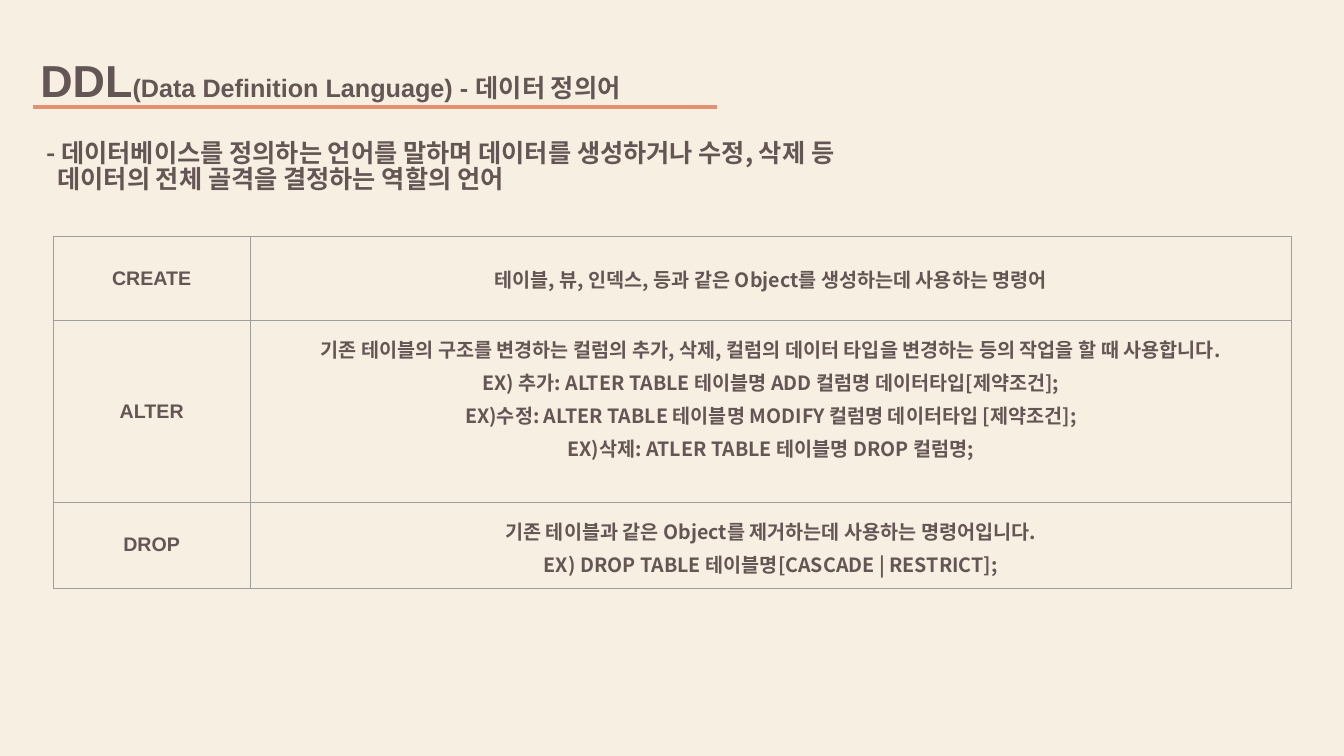
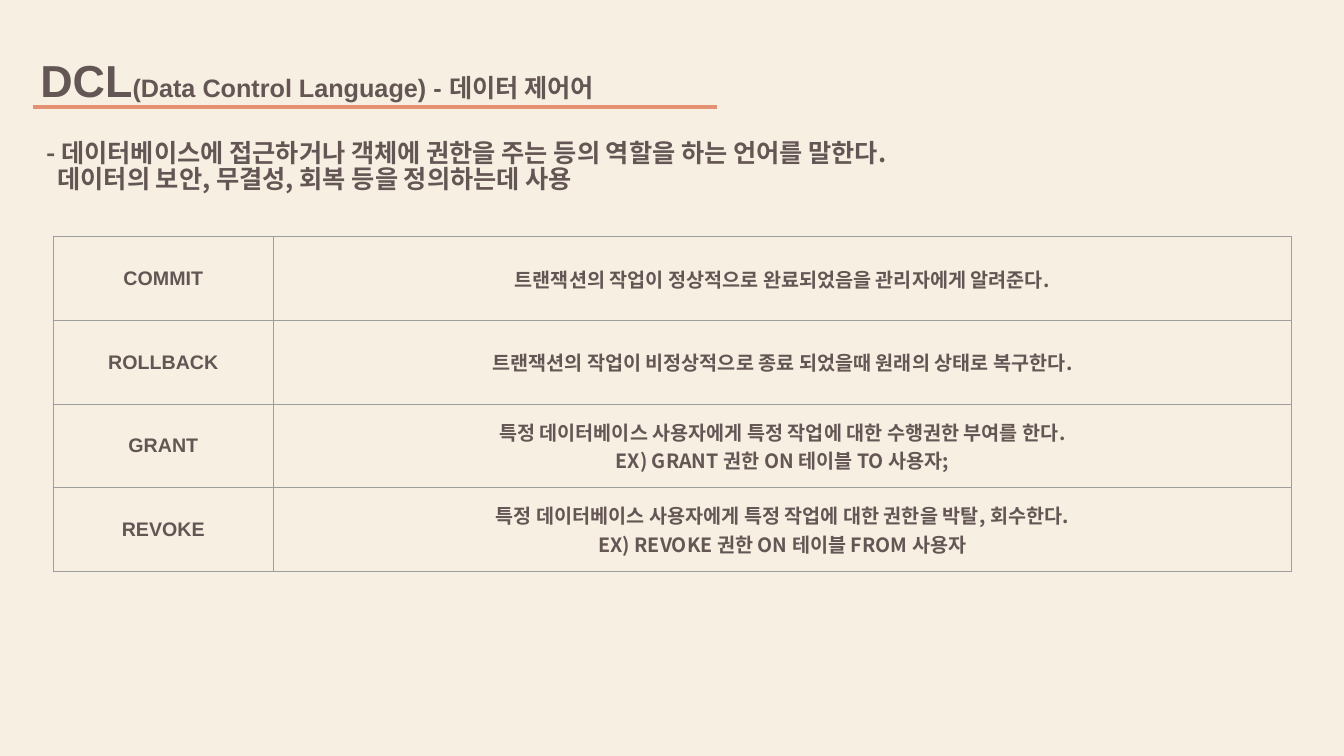
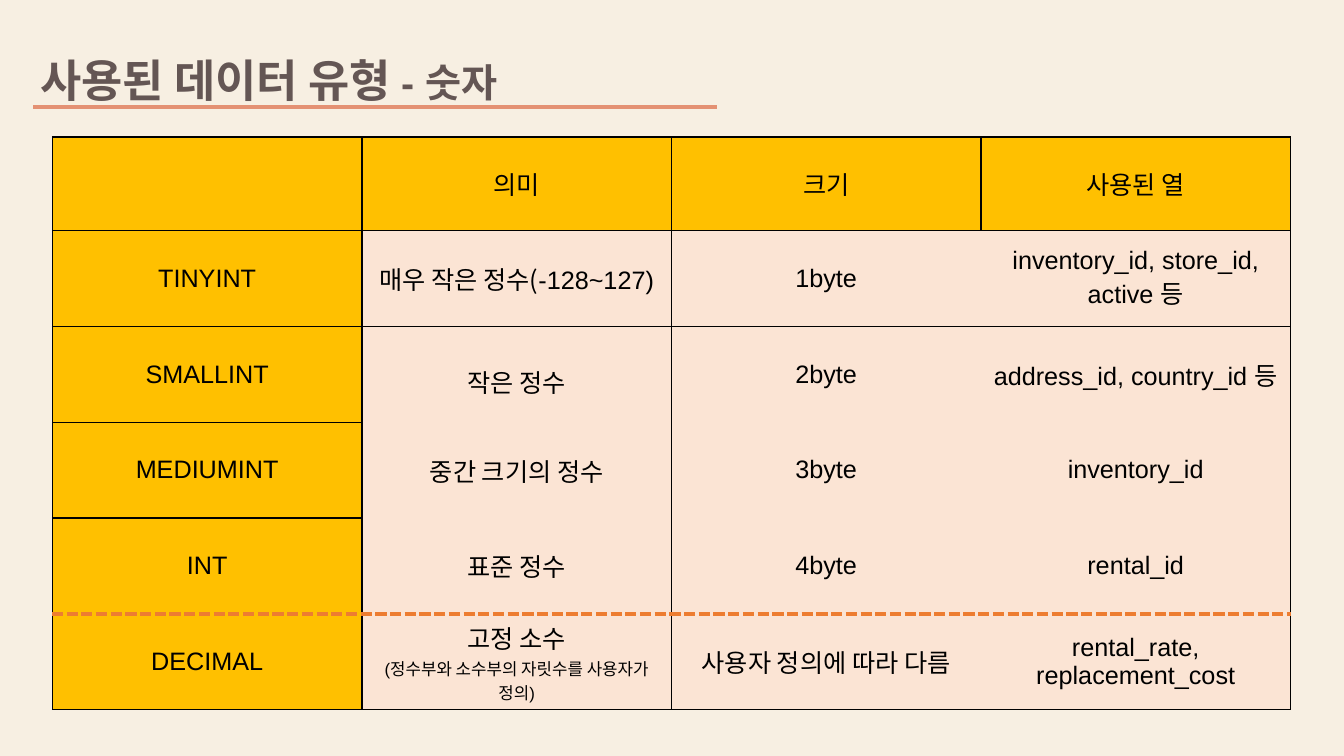
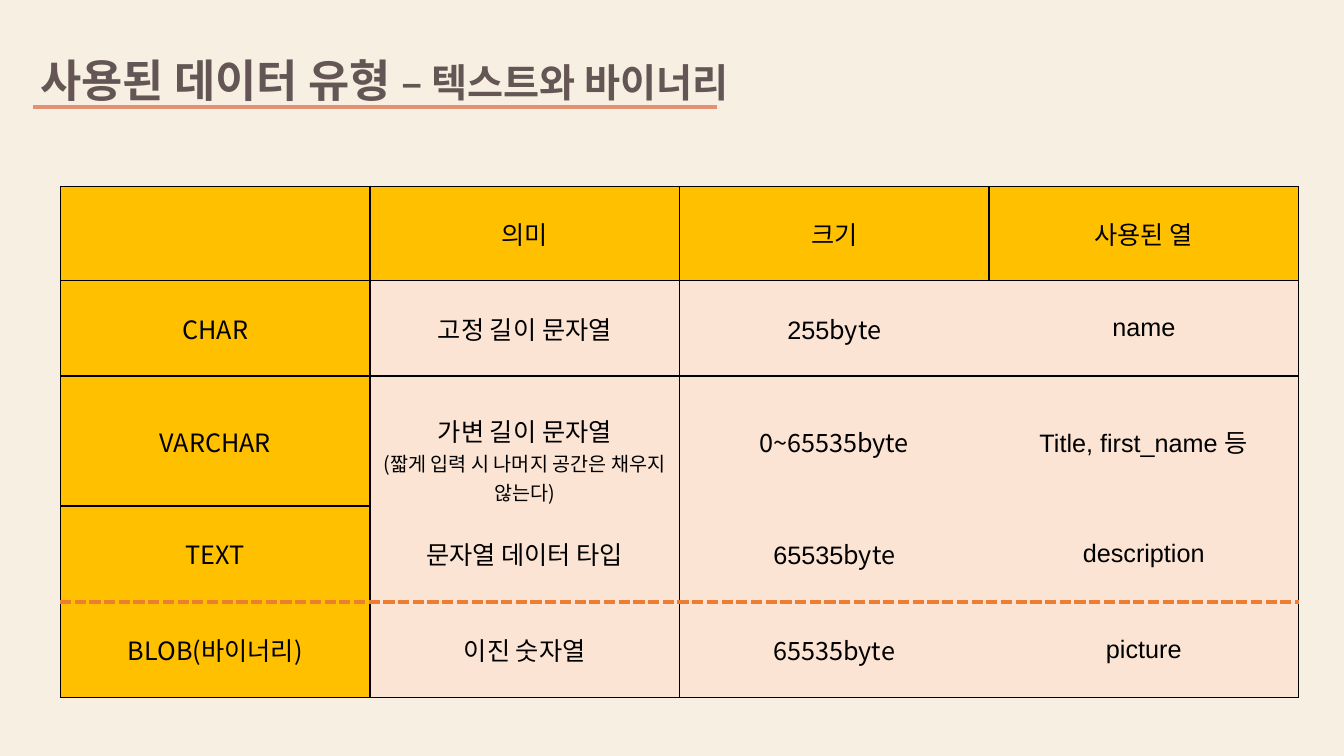
from collections import namedtuple

from lxml import etree
from pptx import Presentation
from pptx.dml.color import RGBColor
from pptx.enum.shapes import MSO_CONNECTOR
from pptx.enum.text import MSO_ANCHOR, MSO_AUTO_SIZE, PP_ALIGN
from pptx.oxml.ns import qn
from pptx.util import Inches, Pt

STRAIGHT = MSO_CONNECTOR.STRAIGHT
TOP, MIDDLE, BOTTOM = MSO_ANCHOR.TOP, MSO_ANCHOR.MIDDLE, MSO_ANCHOR.BOTTOM
LEFT, CENTER = PP_ALIGN.LEFT, PP_ALIGN.CENTER
NO_AUTOFIT = MSO_AUTO_SIZE.NONE

CREAM = RGBColor(0xF7, 0xEF, 0xE2)
CORAL = RGBColor(0xE4, 0x91, 0x73)
BROWN = RGBColor(0x64, 0x56, 0x54)
GRAY = RGBColor(0x9E, 0x9E, 0x9E)
BLACK = RGBColor(0x00, 0x00, 0x00)
GOLD = RGBColor(0xFF, 0xC0, 0x00)
PEACH = RGBColor(0xFB, 0xE4, 0xD4)
ORANGE = RGBColor(0xED, 0x7D, 0x31)

LATIN_FONT = "Arial"
KOREAN_FONT = "Noto Sans CJK KR"
PLAIN_TABLE_STYLE = "{2D5ABB26-0587-4C30-8999-92F81FD0307C}"
TITLE_AND_BODY, TITLE_ONLY = 1, 5

Box = namedtuple("Box", "left top width height")
Span = namedtuple("Span", "text size font")
Border = namedtuple("Border", "color width dash")
Margins = namedtuple("Margins", "left top right bottom")

GRID_LINE = Border(GRAY, 0.75, "solid")
TYPE_LINE = Border(BLACK, 1, "solid")
DASHED_LINE = Border(ORANGE, 3, "dash")
EVEN_MARGINS = Margins(0.1, 0.1, 0.1, 0.1)
TYPE_MARGINS = Margins(0.1, 0.05, 0.1, 0.05)
LOWERED_MARGINS = Margins(0.07, 0.36, 0.07, 0)

TABLE_WIDTH = 12.28
DESCRIPTION_BOX = Box(0.3, 1.36, 10.36, 0.71)
TYPE_HEADINGS = ["", "의미", "크기", "사용된 열"]


def latin(text, size=18):
    """Describe a piece of text in the Latin font."""
    return Span(text, size, LATIN_FONT)


def korean(text, size=18):
    """Describe a piece of text in the Korean font."""
    return Span(text, size, KOREAN_FONT)


def add_span(para, text, size=18, font=LATIN_FONT, color=BROWN, bold=True):
    """Append formatted text to a paragraph."""
    span = para.add_run()
    span.text = text
    span.font.size = Pt(size)
    span.font.bold = bold
    span.font.color.rgb = color
    span.font.name = font
    properties = span._r.get_or_add_rPr()
    etree.SubElement(properties, qn("a:ea"), typeface=KOREAN_FONT)


def write_paragraphs(frame, paragraphs, align, spacing=None, **text_format):
    """Fill a text frame with paragraphs, each a list of spans."""
    for index, spans in enumerate(paragraphs):
        para = frame.paragraphs[0] if index == 0 else frame.add_paragraph()
        para.alignment = align
        if spacing:
            para.line_spacing = spacing
        for text, size, font in spans:
            add_span(para, text, size=size, font=font, **text_format)


def place(shape, box):
    """Move a shape to a box given in inches."""
    shape.left, shape.top = Inches(box.left), Inches(box.top)
    shape.width, shape.height = Inches(box.width), Inches(box.height)


def set_margins(target, margins):
    """Set the four inner margins of a cell or text frame in inches."""
    for side, length in margins._asdict().items():
        setattr(target, f"margin_{side}", Inches(length))


def add_title(page, spans, width):
    """Write the title and the coral rule beneath it."""
    box = Box(0.3, 0.46, width, 0.64)
    title = page.shapes.title
    place(title, box)
    frame = title.text_frame
    frame.word_wrap = True
    frame.auto_size = NO_AUTOFIT
    frame.vertical_anchor = BOTTOM
    set_margins(frame, Margins(0.1, 0.05, 0.1, 0.04))
    write_paragraphs(frame, [spans], LEFT, spacing=0.85)

    left, height = Inches(box.left + 0.03), Inches(box.top + 0.6)
    rule = page.shapes.add_connector(
        STRAIGHT, left, height, left + Inches(6.78), height)
    rule.line.color.rgb = CORAL
    rule.line.width = Pt(3)
    etree.SubElement(rule.element.spPr, qn("a:effectLst"))


def add_description(page, lines, box):
    """Write the two-line definition in the body placeholder."""
    body = page.placeholders[1]
    place(body, box)
    frame = body.text_frame
    frame.word_wrap = True
    frame.auto_size = NO_AUTOFIT
    frame.vertical_anchor = TOP
    set_margins(frame, TYPE_MARGINS)
    write_paragraphs(frame, [[korean(line)] for line in lines], LEFT, spacing=0.85)
    for para, indent in zip(frame.paragraphs, (0.06, 0.17)):
        para.space_before = Pt(0)
        properties = para._p.get_or_add_pPr()
        properties.set("marL", str(Inches(indent)))
        properties.set("indent", "0")
        etree.SubElement(properties, qn("a:buNone"))


def add_plain_table(page, left, top, widths, heights):
    """Add an unstyled table with the given columns and rows."""
    holder = page.shapes.add_table(
        len(heights), len(widths), Inches(left), Inches(top),
        Inches(sum(widths)), Inches(sum(heights)))
    for style in holder.element.iter(qn("a:tableStyleId")):
        style.text = PLAIN_TABLE_STYLE
    table = holder.table
    table.first_row = table.horz_banding = False
    for column, width in zip(table.columns, widths):
        column.width = Inches(width)
    for row, height in zip(table.rows, heights):
        row.height = Inches(height)
    return table


def set_borders(cell, left, right, top, bottom):
    """Draw the four borders of a cell, where None means no line."""
    properties = cell._tc.get_or_add_tcPr()
    for tag, border in zip(("lnL", "lnR", "lnT", "lnB"), (left, right, top, bottom)):
        line = etree.SubElement(properties, qn(f"a:{tag}"))
        if border is None:
            etree.SubElement(line, qn("a:noFill"))
            continue
        line.set("w", str(Pt(border.width)))
        fill = etree.SubElement(line, qn("a:solidFill"))
        etree.SubElement(fill, qn("a:srgbClr"), val=str(border.color))
        etree.SubElement(line, qn("a:prstDash"), val=border.dash)


def add_command_table(page, commands, label_width, heights, spacing):
    """List commands beside their explanations in a thin grid."""
    widths = (label_width, TABLE_WIDTH - label_width)
    table = add_plain_table(page, 0.53, 2.35, widths, heights)
    for row, (name, lines) in enumerate(commands):
        contents = [[latin(name, 14)]], [[korean(line, 14)] for line in lines]
        for column, paragraphs in enumerate(contents):
            cell = table.cell(row, column)
            cell.vertical_anchor = MIDDLE
            lowest = 0.4 if len(lines) > 2 and column == 1 else 0.1
            set_margins(cell, EVEN_MARGINS._replace(bottom=lowest))
            set_borders(cell, *[GRID_LINE] * 4)
            cell.fill.background()
            write_paragraphs(cell.text_frame, paragraphs, CENTER,
                             spacing=spacing if len(paragraphs) > 1 else None)


def horizontal_border(line, column, row_count):
    """Choose the border on a horizontal grid line of a type table."""
    if line == row_count - 1:
        return DASHED_LINE
    return TYPE_LINE if column == 0 or line in (0, 1, 2, row_count) else None


def vertical_border(line, row):
    """Choose the border on a vertical grid line of a type table."""
    return TYPE_LINE if line != 3 or row == 0 else None


def add_type_table(page, rows, left, top, heights):
    """Tabulate data types with gold headings and peach details."""
    table = add_plain_table(page, left, top, [TABLE_WIDTH / 4] * 4, heights)
    count = len(heights)
    for row, contents in enumerate([TYPE_HEADINGS] + rows):
        for column, content in enumerate(contents):
            cell = table.cell(row, column)
            lowered = (row, column) == (2, 1)
            cell.vertical_anchor = TOP if lowered else MIDDLE
            set_margins(cell, LOWERED_MARGINS if lowered else TYPE_MARGINS)
            set_borders(cell,
                        vertical_border(column, row),
                        vertical_border(column + 1, row),
                        horizontal_border(row, column, count),
                        horizontal_border(row + 1, column, count))
            cell.fill.solid()
            cell.fill.fore_color.rgb = GOLD if row == 0 or column == 0 else PEACH
            if content:
                paragraphs = [[latin(content)]] if isinstance(content, str) else content
                write_paragraphs(cell.text_frame, paragraphs, CENTER,
                                 color=BLACK, bold=False)


def build_language_slide(deck, name, meaning, description, commands,
                         label_width, heights, spacing=None):
    """Build a slide that defines a language and lists its commands."""
    page = deck.slides.add_slide(deck.slide_layouts[TITLE_AND_BODY])
    add_title(page, [latin(name, 32), latin(meaning)], 10)
    add_command_table(page, commands, label_width, heights, spacing)
    add_description(page, description, DESCRIPTION_BOX)


def build_type_slide(deck, kind, title_width, rows, left, top, heights):
    """Build a slide that tabulates one kind of data type."""
    page = deck.slides.add_slide(deck.slide_layouts[TITLE_ONLY])
    add_title(page, [latin("사용된 데이터 유형 ", 32), latin(kind, 28)], title_width)
    add_type_table(page, rows, left, top, heights)


DDL_COMMANDS = [
    ("CREATE", ["테이블, 뷰, 인덱스, 등과 같은 Object를 생성하는데 사용하는 명령어"]),
    ("ALTER", [
        "기존 테이블의 구조를 변경하는 컬럼의 추가, 삭제, 컬럼의 데이터 타입을 변경하는 등의 작업을 할 때 사용합니다.",
        "EX) 추가: ALTER TABLE 테이블명 ADD 컬럼명 데이터타입[제약조건];",
        "EX)수정: ALTER TABLE 테이블명 MODIFY 컬럼명 데이터타입 [제약조건];",
        "EX)삭제: ATLER TABLE 테이블명 DROP 컬럼명;"]),
    ("DROP", [
        "기존 테이블과 같은 Object를 제거하는데 사용하는 명령어입니다.",
        "EX) DROP TABLE 테이블명[CASCADE | RESTRICT];"]),
]

DCL_COMMANDS = [
    ("COMMIT", ["트랜잭션의 작업이 정상적으로 완료되었음을 관리자에게 알려준다."]),
    ("ROLLBACK", ["트랜잭션의 작업이 비정상적으로 종료 되었을때 원래의 상태로 복구한다."]),
    ("GRANT", [
        "특정 데이터베이스 사용자에게 특정 작업에 대한 수행권한 부여를 한다.",
        "EX) GRANT 권한 ON 테이블 TO 사용자;"]),
    ("REVOKE", [
        "특정 데이터베이스 사용자에게 특정 작업에 대한 권한을 박탈, 회수한다.",
        "EX) REVOKE 권한 ON 테이블 FROM 사용자"]),
]

NUMBER_TYPES = [
    ["TINYINT", [[korean("매우 작은 정수("), latin("-128~127)")]], "1byte",
     "inventory_id, store_id, active 등"],
    ["SMALLINT", [[korean("작은 정수")]], "2byte", "address_id, country_id 등"],
    ["MEDIUMINT", [[korean("중간 크기의 정수")]], "3byte", "inventory_id"],
    ["INT", "표준 정수", "4byte", "rental_id"],
    ["DECIMAL",
     [[latin("고정 소수")], [latin("(정수부와 소수부의 자릿수를 사용자가 정의)", 12)]],
     "사용자 정의에 따라 다름", "rental_rate, replacement_cost"],
]

TEXT_TYPES = [
    [[[korean("CHAR")]], "고정 길이 문자열", [[latin("255"), korean("byte")]], "name"],
    [[[korean("VARCHAR")]],
     [[korean("가변 길이 문자열")],
      [korean("(짧게 입력 시 나머지 공간은 채우지 않는다)", 14)]],
     [[korean("0~65535byte")]], "Title, first_name 등"],
    [[[korean("TEXT")]], [[korean("문자열 데이터 타입")]],
     [[latin("65535"), korean("byte")]], "description"],
    [[[korean("BLOB(바이너리)")]], "이진 숫자열", [[korean("65535byte")]], "picture"],
]


def main():
    """Build and save the deck."""
    deck = Presentation()
    deck.slide_width, deck.slide_height = Inches(13.33), Inches(7.5)
    background = deck.slide_master.background.fill
    background.solid()
    background.fore_color.rgb = CREAM

    build_language_slide(
        deck, "DDL", "(Data Definition Language) - 데이터 정의어",
        ["- 데이터베이스를 정의하는 언어를 말하며 데이터를 생성하거나 수정, 삭제 등",
         "데이터의 전체 골격을 결정하는 역할의 언어"],
        DDL_COMMANDS, 1.95, [0.83, 1.79, 0.85], spacing=1.15)
    build_language_slide(
        deck, "DCL", "(Data Control Language) - 데이터 제어어",
        ["- 데이터베이스에 접근하거나 객체에 권한을 주는 등의 역할을 하는 언어를 말한다.",
         "데이터의 보안, 무결성, 회복 등을 정의하는데 사용"],
        DCL_COMMANDS, 2.18, [0.83] * 4)
    build_type_slide(deck, "- 숫자", 5.34, NUMBER_TYPES,
                     0.52, 1.36, [0.93] + [0.95] * 5)
    build_type_slide(deck, "– 텍스트와 바이너리", 8.25, TEXT_TYPES,
                     0.6, 1.85, [0.93, 0.95, 1.29, 0.95, 0.95])
    deck.save("out.pptx")


if __name__ == "__main__":
    main()
